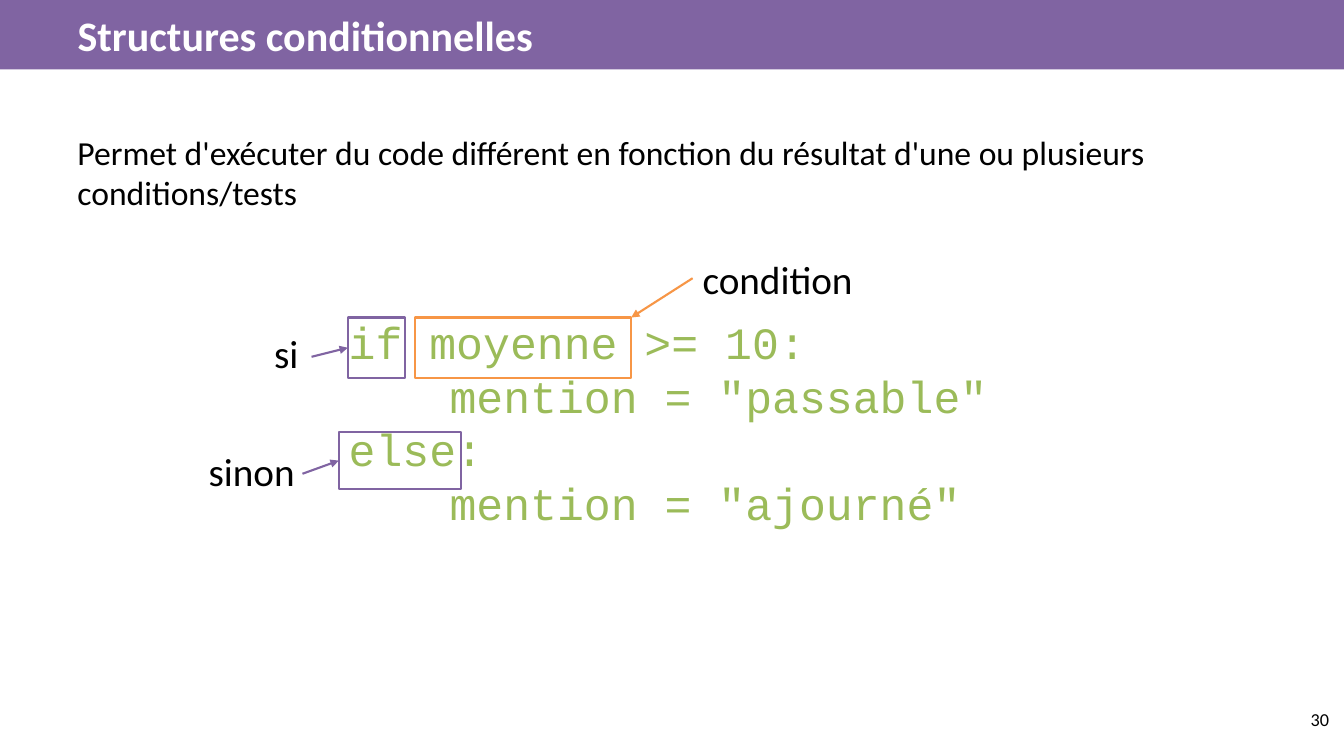
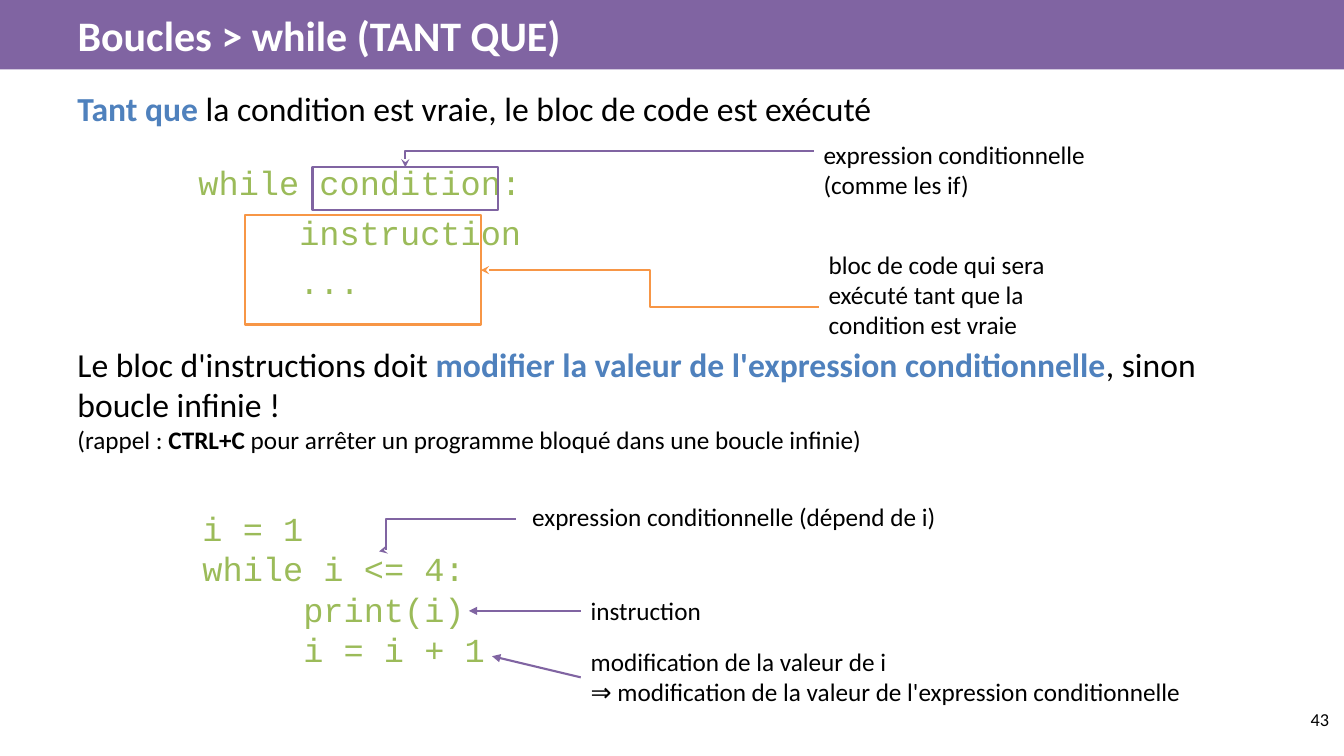
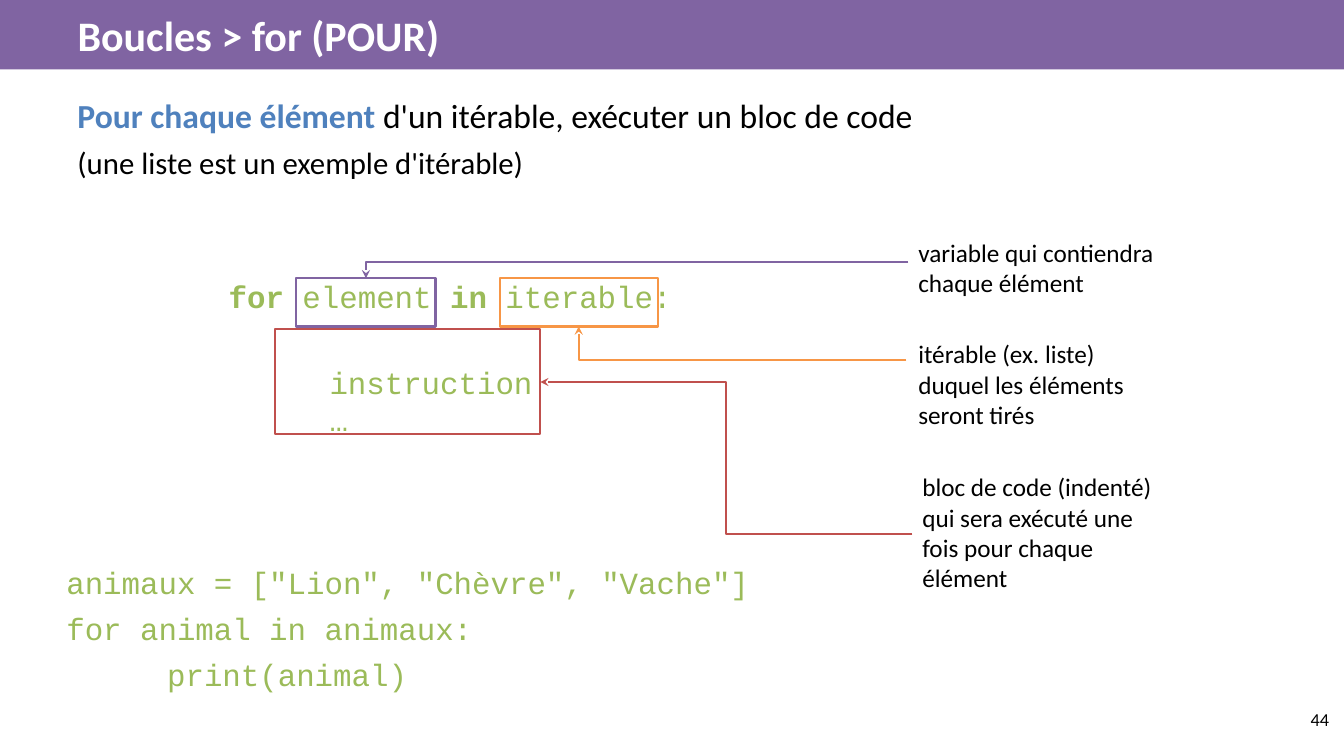
from lxml.etree import SubElement
from pptx import Presentation
from pptx.dml.color import RGBColor
from pptx.enum.shapes import MSO_CONNECTOR, MSO_SHAPE
from pptx.enum.text import MSO_ANCHOR, MSO_AUTO_SIZE, PP_ALIGN
from pptx.oxml.ns import qn
from pptx.util import Inches, Pt

BLACK = RGBColor(0x00, 0x00, 0x00)
WHITE = RGBColor(0xFF, 0xFF, 0xFF)
PURPLE = RGBColor(0x80, 0x64, 0xA2)
ORANGE = RGBColor(0xF7, 0x96, 0x46)
RED = RGBColor(0xC0, 0x50, 0x4D)
BLUE = RGBColor(0x4F, 0x81, 0xBD)
GREEN = RGBColor(0x9B, 0xBB, 0x59)

TITLE = {"name": "Calibri", "size": Pt(30), "bold": True, "color": WHITE}
BODY = {"name": "Calibri", "size": Pt(24), "bold": False, "color": BLACK}
LABEL = {**BODY, "size": Pt(18)}
KEYWORD_LABEL = {**BODY, "size": Pt(28)}
PAGE_NUMBER = {**BODY, "size": Pt(13)}
CODE = {**BODY, "name": "Courier New", "color": GREEN}
SMALL_CODE = {**CODE, "size": Pt(22)}
BIG_CODE = {**CODE, "size": Pt(32)}
EMPHASIS = {"color": BLUE, "bold": True}
BOLD = {"bold": True}

FRAME = {
    "word_wrap": True,
    "auto_size": MSO_AUTO_SIZE.NONE,
    "margin_left": Inches(0.1),
    "margin_top": Inches(0.1),
    "margin_right": Inches(0.1),
    "margin_bottom": Inches(0.1),
}
BODY_LEFT, BODY_WIDTH = 0.67, 12
PARAGRAPH_GAP = 6.4
LINE_WIDTH = Pt(1.5)


def apply(target, values):
    for name, value in values.items():
        setattr(target, name, value)


def format_font(font, style):
    apply(font, {key: value for key, value in style.items() if key != "color"})
    font.color.rgb = style["color"]


def add_tab_stop(paragraph):
    tabs = SubElement(paragraph._p.get_or_add_pPr(), qn("a:tabLst"))
    SubElement(tabs, qn("a:tab"), pos=str(Inches(1)), algn="l")


def add_text(slide, box, paragraphs, style, gap=0, align=PP_ALIGN.LEFT,
             anchor=MSO_ANCHOR.TOP):
    """Each paragraph is a string or a list of (text, style changes) runs.

    gap is the space between paragraphs in points, or a list with one
    value for each paragraph after the first.
    """
    text_box = slide.shapes.add_textbox(*map(Inches, box))
    frame = text_box.text_frame
    apply(frame, {**FRAME, "vertical_anchor": anchor})
    for index, runs in enumerate(paragraphs):
        paragraph = frame.paragraphs[0] if index == 0 else frame.add_paragraph()
        paragraph.alignment = align
        if index:
            paragraph.space_before = Pt(gap[index - 1] if isinstance(gap, list) else gap)
        if isinstance(runs, str):
            runs = [(runs, {})]
        if runs[0][0].startswith("\t"):
            add_tab_stop(paragraph)
        for text, changes in runs:
            run = paragraph.add_run()
            run.text = text
            format_font(run.font, {**style, **changes})
    return text_box


def add_highlight(slide, box, color):
    """Outline a part of the code."""
    highlight = slide.shapes.add_shape(MSO_SHAPE.RECTANGLE, *map(Inches, box))
    highlight.shadow.inherit = False
    highlight.fill.background()
    highlight.line.color.rgb = color
    highlight.line.width = LINE_WIDTH
    return highlight


def add_arrow(slide, start, end, color, kind=MSO_CONNECTOR.STRAIGHT, head="triangle"):
    arrow = slide.shapes.add_connector(kind, *map(Inches, (*start, *end)))
    arrow.line.color.rgb = color
    arrow.line.width = LINE_WIDTH
    properties = arrow.element.spPr
    SubElement(properties.find(qn("a:ln")), qn("a:tailEnd"), type=head)
    SubElement(properties, qn("a:effectLst"))
    return arrow


def add_bent_arrow(slide, start, end, color, turn=None):
    """Leave start horizontally; turn is the share of the width before the
    vertical part, or None for a single corner above or below end."""
    arrow = add_arrow(slide, start, end, color, MSO_CONNECTOR.ELBOW, "stealth")
    geometry = arrow.element.spPr.find(qn("a:prstGeom"))
    if turn is None:
        geometry.set("prst", "bentConnector2")
    else:
        guides = geometry.find(qn("a:avLst"))
        SubElement(guides, qn("a:gd"), name="adj1", fmla=f"val {round(turn * 100000)}")


def prepare_layout(presentation):
    """Put the title band and the title position on the title-only layout."""
    layout = presentation.slide_layouts[5]
    apply(layout.placeholders[0], {
        "left": Inches(BODY_LEFT), "top": Inches(-0.01),
        "width": Inches(12.69), "height": Inches(0.7),
    })
    return layout


def add_band(slide, layout):
    band = slide.shapes.add_shape(
        MSO_SHAPE.RECTANGLE, *map(Inches, (-0.01, -0.01, 13.36, 0.7)))
    band.shadow.inherit = False
    band.fill.solid()
    band.fill.fore_color.rgb = PURPLE
    band.line.fill.background()
    layout.shapes.element.insert(2, band.element)


def add_slide(presentation, layout, title, number):
    slide = presentation.slides.add_slide(layout)
    if len(presentation.slides) == 1:
        add_band(slide, layout)
    frame = slide.shapes.title.text_frame
    frame.text = title
    apply(frame, {**FRAME, "vertical_anchor": MSO_ANCHOR.TOP})
    paragraph = frame.paragraphs[0]
    paragraph.alignment = PP_ALIGN.LEFT
    format_font(paragraph.runs[0].font, TITLE)
    add_text(slide, (12.48, 6.93, 0.8, 0.57), [str(number)], PAGE_NUMBER,
             align=PP_ALIGN.RIGHT)
    return slide


def fill_conditionals(slide):
    add_text(slide, (BODY_LEFT, 1.21, BODY_WIDTH, 1.14), [
        "Permet d'exécuter du code différent en fonction du résultat d'une ou "
        "plusieurs conditions/tests"], BODY)
    add_text(slide, (3.36, 3.02, 6.91, 1.83), [
        "if moyenne >= 10:",
        '\tmention = "passable"',
        "else:",
        '\tmention = "ajourné"'], BIG_CODE)

    keywords = [
        ("si", (2.62, 3.17, 0.5, 0.49), (3.45, 3.15, 0.57, 0.6), (3.09, 3.54)),
        ("sinon", (1.97, 4.34, 1.42, 0.49), (3.36, 4.29, 1.21, 0.56), (3, 4.7)),
    ]
    for word, label_box, keyword_box, start in keywords:
        add_text(slide, label_box, [word], KEYWORD_LABEL)
        keyword = add_highlight(slide, keyword_box, PURPLE)
        add_arrow(slide, start, keyword_box[:2], PURPLE).end_connect(keyword, 1)

    add_highlight(slide, (4.12, 3.15, 2.14, 0.6), ORANGE)
    condition = add_text(slide, (6.87, 2.43, 1.96, 0.66), ["condition"], KEYWORD_LABEL)
    add_arrow(slide, (6.87, 2.76), (6.26, 3.15), ORANGE).begin_connect(condition, 1)


def fill_while(slide):
    add_text(slide, (BODY_LEFT, 0.77, BODY_WIDTH, 0.65), [
        [("Tant que", EMPHASIS),
         (" la condition est vraie, le bloc de code est exécuté", {})]], BODY)

    add_text(slide, (1.87, 1.51, 5.84, 2.09),
             ["while condition:", "\tinstruction", "\t..."], CODE, PARAGRAPH_GAP)
    add_highlight(slide, (3.1, 1.66, 1.84, 0.42), PURPLE)
    add_highlight(slide, (2.43, 2.13, 2.34, 1.09), ORANGE)
    add_bent_arrow(slide, (8.07, 1.5), (4.02, 1.66), PURPLE)
    add_bent_arrow(slide, (8.12, 3.05), (4.77, 2.68), ORANGE, 0.5)
    add_text(slide, (8.07, 1.28, 2.96, 0.83),
             ["expression conditionnelle (comme les if)"], LABEL)
    add_text(slide, (8.12, 2.37, 2.96, 1.35),
             ["bloc de code qui sera exécuté tant que la condition est vraie"], LABEL)

    small = {"size": Pt(18)}
    add_text(slide, (BODY_LEFT, 3.31, BODY_WIDTH, 1.35), [
        [("Le bloc d'instructions doit ", {}),
         ("modifier la valeur de l'expression conditionnelle", EMPHASIS),
         (", sinon boucle infinie !", {})],
        [("(rappel : ", small),
         ("CTRL+C", {**small, **BOLD}),
         (" pour arrêter un programme bloqué dans une boucle infinie)", small)]], BODY)

    add_text(slide, (1.91, 4.94, 9, 1.58),
             ["i = 1", "while i <= 4:", "\tprint(i)", "\ti = i + 1"], CODE)
    add_text(slide, (5.18, 4.87, 4.39, 0.48),
             ["expression conditionnelle (dépend de i)"], LABEL)
    instruction = add_text(slide, (5.76, 5.85, 1.43, 0.42), ["instruction"], LABEL,
                           anchor=MSO_ANCHOR.MIDDLE)
    add_text(slide, (5.76, 6.31, 6.15, 0.76), [
        "modification de la valeur de i",
        "⇒ modification de la valeur de l'expression conditionnelle"], LABEL)
    add_bent_arrow(slide, (5.12, 5.15), (3.76, 5.47), PURPLE, 0.95)
    add_arrow(slide, (5.76, 6.06), (4.65, 6.06), PURPLE).begin_connect(instruction, 1)
    add_arrow(slide, (5.76, 6.72), (4.88, 6.51), PURPLE)


def fill_for(slide):
    add_text(slide, (BODY_LEFT, 0.84, BODY_WIDTH, 1.1), [
        [("Pour chaque élément", EMPHASIS),
         (" d'un itérable, exécuter un bloc de code", {})],
        [("(une liste est un exemple d'itérable)", {"size": Pt(22)})]],
        BODY, PARAGRAPH_GAP)

    add_text(slide, (2.17, 2.66, 8.86, 1.44), [
        [("for", BOLD), (" element ", {}), ("in", BOLD), (" iterable:", {})],
        "\tinstruction",
        "\t…"], SMALL_CODE, [35, 0])
    add_text(slide, (0.56, 5.49, 7.27, 1.73), [
        'animaux = ["Lion", "Chèvre", "Vache"]',
        "for animal in animaux:",
        "\tprint(animal)"], SMALL_CODE, PARAGRAPH_GAP)

    add_highlight(slide, (2.94, 2.76, 1.38, 0.48), PURPLE)
    add_highlight(slide, (4.96, 2.76, 1.57, 0.48), ORANGE)
    add_highlight(slide, (2.73, 3.26, 2.63, 1.05), RED)
    add_bent_arrow(slide, (9.01, 2.6), (3.63, 2.76), PURPLE)
    add_bent_arrow(slide, (8.99, 3.57), (5.74, 3.24), ORANGE)
    add_bent_arrow(slide, (9.05, 5.3), (5.36, 3.79), RED, 0.5)

    explanations = [
        ((9.01, 2.25, 2.67, 0.7), "variable qui contiendra chaque élément"),
        ((9.01, 3.26, 2.67, 1.08),
         "itérable (ex. liste) duquel les éléments seront tirés"),
        ((9.05, 4.58, 2.63, 1.44),
         "bloc de code (indenté) qui sera exécuté une fois pour chaque élément"),
    ]
    for box, explanation in explanations:
        add_text(slide, box, [explanation], LABEL)


def main():
    presentation = Presentation()
    presentation.slide_width = Inches(13.33)
    presentation.slide_height = Inches(7.5)
    layout = prepare_layout(presentation)
    contents = [
        ("Structures conditionnelles", 30, fill_conditionals),
        ("Boucles > while (TANT QUE)", 43, fill_while),
        ("Boucles > for (POUR)", 44, fill_for),
    ]
    for title, number, fill in contents:
        fill(add_slide(presentation, layout, title, number))
    presentation.save("out.pptx")


if __name__ == "__main__":
    main()
